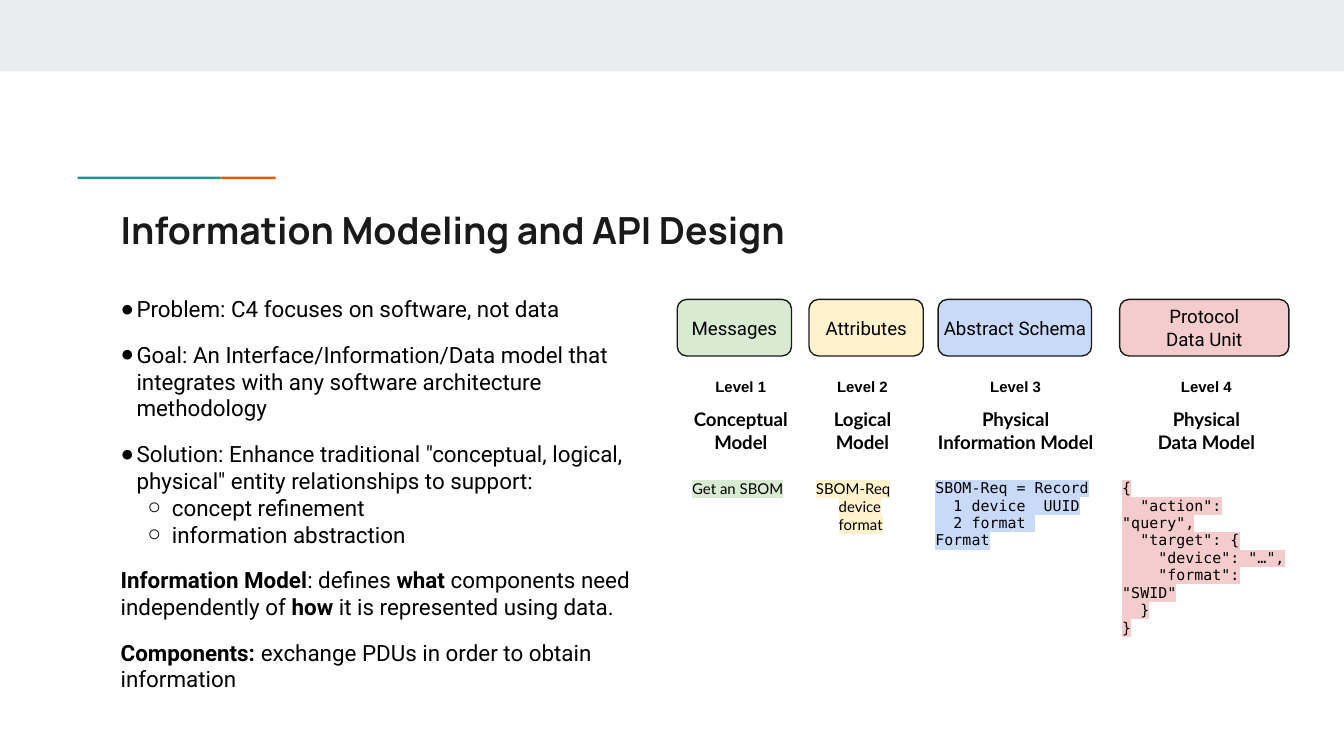
from lxml import etree
from pptx import Presentation
from pptx.dml.color import RGBColor
from pptx.enum.shapes import MSO_SHAPE
from pptx.enum.text import MSO_ANCHOR, MSO_AUTO_SIZE, PP_ALIGN
from pptx.oxml.ns import qn
from pptx.util import Cm, Pt

RECTANGLE = MSO_SHAPE.RECTANGLE
ROUNDED = MSO_SHAPE.ROUNDED_RECTANGLE
CENTER, LEFT = PP_ALIGN.CENTER, PP_ALIGN.LEFT
TOP, MIDDLE = MSO_ANCHOR.TOP, MSO_ANCHOR.MIDDLE

BLACK = RGBColor(0x00, 0x00, 0x00)
INK = RGBColor(0x1A, 0x1A, 0x1A)
BAND = RGBColor(0xE9, 0xED, 0xEE)
TEAL = RGBColor(0x1A, 0x99, 0x88)
ORANGE = RGBColor(0xEB, 0x56, 0x00)
GREEN = RGBColor(0xD9, 0xEA, 0xD3)
YELLOW = RGBColor(0xFF, 0xF2, 0xCC)
BLUE = RGBColor(0xC9, 0xDA, 0xF8)
RED = RGBColor(0xF4, 0xCC, 0xCC)

# Content
TITLE = "Information Modeling and API Design"

# (level or None for no bullet, space before, [(text, bold), ...])
BODY = [
    (0, 0, [("Problem: C4 focuses on software, not data", False)]),
    (0, 10, [("Goal: An Interface/Information/Data model that integrates "
              "with any software architecture methodology", False)]),
    (0, 10, [('Solution: Enhance traditional "conceptual, logical, physical" '
              "entity relationships to support:", False)]),
    (1, 0, [("concept refinement", False)]),
    (1, 0, [("information abstraction", False)]),
    (None, 10, [("Information Model", True), (": defines ", False),
                ("what ", True), ("components need independently of ", False),
                ("how ", True), ("it is represented using data.", False)]),
    (None, 10, [("Components:", True),
                (" exchange PDUs in order to obtain information", False)]),
]
BULLETS = [("●", Cm(0.3)), ("○", Cm(0.97))]
HANGING = Cm(-0.46)

# Each example line is (text, left indent in cm)
LEVELS = [
    {"box": "Messages", "left": 12.8, "width": 2.16, "color": GREEN,
     "model": "Conceptual Model", "column": 2.34, "font": "Lato",
     "example": [("Get an SBOM", 0)]},
    {"box": "Attributes", "left": 15.29, "width": 2.16, "color": YELLOW,
     "model": "Logical Model", "column": 2.26, "font": "Lato",
     "example": [("SBOM-Req", 0), ("device", 0.43), ("format", 0.43)]},
    {"box": "Abstract Schema", "left": 17.73, "width": 2.9, "color": BLUE,
     "model": "Physical Information Model", "column": 3.53,
     "font": "DejaVu Sans Mono",
     "example": [("SBOM-Req = Record", 0), ("  1 device  UUID", 0),
                 ("  2 format  Format", 0)]},
    {"box": "Protocol\vData Unit", "left": 21.16, "width": 3.2, "color": RED,
     "model": "Physical\vData Model", "column": 3.68,
     "font": "DejaVu Sans Mono",
     "example": [("{", 0), ('  "action": "query",', 0), ('  "target": {', 0),
                 ('    "device": "…",', 0), ('    "format": "SWID"', 0),
                 ("  }", 0), ("}", 0)]},
]
ROW_HEIGHTS = [0.81, 1.07, 1.07]
INSET = Cm(0.25)


def style(paragraph, font, size, color=BLACK, bold=False, align=LEFT):
    paragraph.font.name = font
    paragraph.font.size = Pt(size)
    paragraph.font.color.rgb = color
    paragraph.font.bold = bold
    paragraph.alignment = align


def set_insets(frame, left, top, right, bottom):
    frame.margin_left, frame.margin_top = left, top
    frame.margin_right, frame.margin_bottom = right, bottom


def set_bullet(paragraph, level):
    """Give the paragraph its bullet and hanging indent, or remove both."""
    properties = paragraph._p.get_or_add_pPr()
    if level is None:
        properties.set("marL", "0")
        properties.set("indent", "0")
        bullet = etree.Element(qn("a:buNone"))
    else:
        character, margin = BULLETS[level]
        paragraph.level = level
        properties.set("marL", str(margin))
        properties.set("indent", str(HANGING))
        bullet = etree.Element(qn("a:buChar"), char=character)
    default_run = properties.find(qn("a:defRPr"))
    default_run.addprevious(bullet)


def highlight(run, color):
    mark = etree.SubElement(run._r.get_or_add_rPr(), qn("a:highlight"))
    etree.SubElement(mark, qn("a:srgbClr"), val=str(color))


def add_box(slide, kind, left, top, width, height, color):
    shape = slide.shapes.add_shape(kind, Cm(left), Cm(top), Cm(width), Cm(height))
    shape.shadow.inherit = False
    shape.fill.solid()
    shape.fill.fore_color.rgb = color
    shape.line.fill.background()
    return shape


def prepare_placeholder(shape, left, top, width, height):
    shape.left, shape.top = Cm(left), Cm(top)
    shape.width, shape.height = Cm(width), Cm(height)
    frame = shape.text_frame
    frame.word_wrap = True
    frame.auto_size = MSO_AUTO_SIZE.NONE
    frame.vertical_anchor = TOP
    set_insets(frame, INSET, INSET, INSET, INSET)
    return frame


presentation = Presentation()
presentation.slide_width, presentation.slide_height = Cm(25.4), Cm(14.29)
slide = presentation.slides.add_slide(presentation.slide_layouts[1])

# Top band and two-colour accent rule
add_box(slide, RECTANGLE, 0, 0, 25.4, 1.35, BAND)
add_box(slide, RECTANGLE, 1.47, 3.34, 2.7, 0.05, TEAL)
add_box(slide, RECTANGLE, 4.17, 3.34, 1.04, 0.05, ORANGE)

# Title
title_frame = prepare_placeholder(slide.shapes.title, 2.03, 3.66, 21.36, 1.5)
title_frame.text = TITLE
style(title_frame.paragraphs[0], "Manrope", 20, INK, True)

# Body list
body_frame = prepare_placeholder(slide.placeholders[1], 2.03, 5.33, 10.39, 8)
for index, (level, space, runs) in enumerate(BODY):
    paragraph = body_frame.paragraphs[0] if index == 0 else body_frame.add_paragraph()
    style(paragraph, "Roboto", 12)
    paragraph.space_before = Pt(space)
    set_bullet(paragraph, level)
    for text, bold in runs:
        run = paragraph.add_run()
        run.text = text
        run.font.bold = bold

# Table of modelling levels
table = slide.shapes.add_table(
    len(ROW_HEIGHTS), len(LEVELS), Cm(12.83), Cm(6.91),
    Cm(sum(level["column"] for level in LEVELS)), Cm(sum(ROW_HEIGHTS))).table
table.first_row = table.horz_banding = False
for row, height in zip(table.rows, ROW_HEIGHTS):
    row.height = Cm(height)
for column, level in enumerate(LEVELS):
    table.columns[column].width = Cm(level["column"])
    name_cell, model_cell, example_cell = (
        table.cell(row, column) for row in range(len(ROW_HEIGHTS)))
    for cell in (name_cell, model_cell, example_cell):
        cell.fill.background()
        set_insets(cell, INSET, INSET, INSET, INSET)
    name_cell.margin_bottom = model_cell.margin_top = 0

    name_cell.text = f"Level {column + 1}"
    style(name_cell.text_frame.paragraphs[0], "Arial", 8, bold=True, align=CENTER)
    model_cell.text = level["model"]
    style(model_cell.text_frame.paragraphs[0], "Lato", 10, bold=True, align=CENTER)

    example_cell.text = "\n".join(text for text, indent in level["example"])
    for paragraph, (text, indent) in zip(
            example_cell.text_frame.paragraphs, level["example"]):
        style(paragraph, level["font"], 8)
        paragraph._p.get_or_add_pPr().set("marL", str(Cm(indent)))
        highlight(paragraph.runs[0], level["color"])

# Rounded boxes above the table columns
for level in LEVELS:
    box = add_box(slide, ROUNDED, level["left"], 5.66, level["width"], 1.07,
                  level["color"])
    box.line.color.rgb = INK
    box.line.width = Pt(0.75)
    frame = box.text_frame
    frame.word_wrap = True
    frame.vertical_anchor = MIDDLE
    set_insets(frame, 0, INSET, 0, INSET)
    frame.text = level["box"]
    style(frame.paragraphs[0], "Roboto", 10, align=CENTER)

presentation.save("out.pptx")
